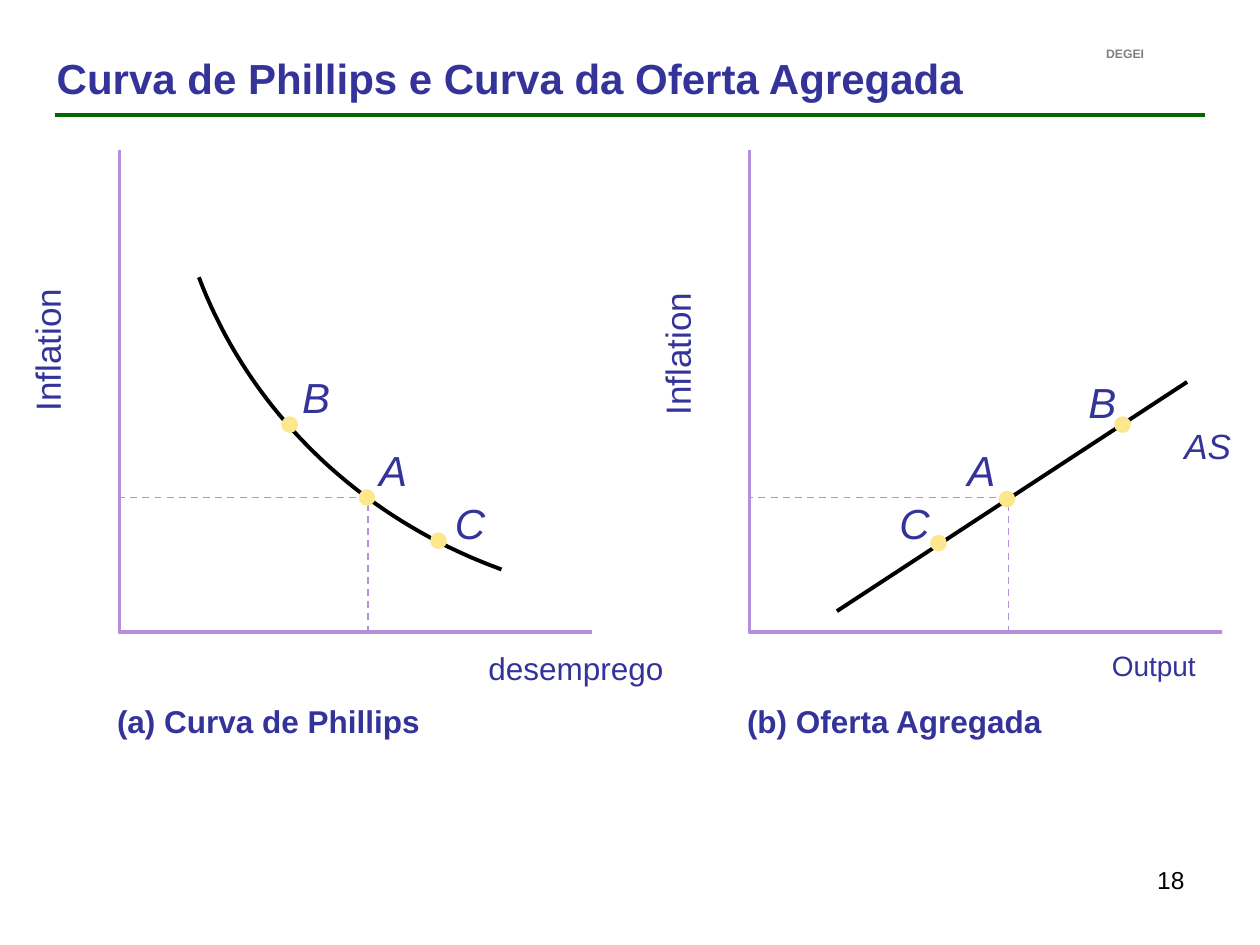
import pptx
import pptx.dml.color
import pptx.enum.dml
import pptx.enum.shapes
import pptx.enum.text
import pptx.oxml
import pptx.util

Cm = pptx.util.Cm
Pt = pptx.util.Pt
RGBColor = pptx.dml.color.RGBColor
PP_ALIGN = pptx.enum.text.PP_ALIGN
MSO_ANCHOR = pptx.enum.text.MSO_ANCHOR

NAVY = RGBColor(0x33, 0x33, 0x99)
GREEN = RGBColor(0x00, 0x66, 0x00)
LILAC = RGBColor(0xB5, 0x90, 0xDA)
YELLOW = RGBColor(0xFC, 0xE7, 0x8C)
GREY = RGBColor(0x80, 0x80, 0x80)
BLACK = RGBColor(0, 0, 0)

PANEL_STEP = 12.7
AXIS_LEFT, AXIS_TOP, AXIS_RIGHT, AXIS_BOTTOM = 2.41, 3.02, 11.94, 12.75
DOT = 0.3

presentation = pptx.Presentation()
presentation.slide_width = Cm(25.4)
presentation.slide_height = Cm(19.05)
slide = presentation.slides.add_slide(presentation.slide_layouts[5])
shapes = slide.shapes


def write_text(text, left, top, width, height, size=24, color=NAVY, bold=False,
               italic=False, align=PP_ALIGN.LEFT, anchor=MSO_ANCHOR.TOP,
               rotation=0, holder=None):
    """Put text in holder, or in a new text box; lengths are in centimetres."""
    if holder is None:
        holder = shapes.add_textbox(0, 0, 0, 0)
    holder.left, holder.top = Cm(left), Cm(top)
    holder.width, holder.height = Cm(width), Cm(height)
    holder.rotation = rotation
    frame = holder.text_frame
    frame.text = text
    frame.word_wrap = True
    frame.auto_size = pptx.enum.text.MSO_AUTO_SIZE.NONE
    frame.vertical_anchor = anchor
    paragraph = frame.paragraphs[0]
    paragraph.alignment = align
    font = paragraph.font
    font.name, font.size = "Arial", Pt(size)
    font.bold, font.italic = bold, italic
    font.color.rgb = color


def draw_line(x1, y1, x2, y2, color, weight=2.25, dashed=False):
    line = shapes.add_connector(pptx.enum.shapes.MSO_CONNECTOR.STRAIGHT,
                                Cm(x1), Cm(y1), Cm(x2), Cm(y2))
    line.line.color.rgb = color
    line.line.width = Pt(weight)
    if dashed:
        line.line.dash_style = pptx.enum.dml.MSO_LINE.DASH
    line._element.spPr.append(pptx.oxml.parse_xml(
        '<a:effectLst xmlns:a="http://schemas.openxmlformats.org/drawingml/2006/main"/>'))


# Heading and page furniture
write_text("Curva de Phillips e Curva da Oferta Agregada", 0.89, 0.71, 26.01, 1.7,
           bold=True, anchor=MSO_ANCHOR.MIDDLE, holder=shapes.title)
write_text("DEGEI", 22.05, 0.81, 2.13, 0.56, size=7, color=GREY, bold=True)
draw_line(1.1, 2.31, 24.3, 2.31, GREEN)
write_text("18", 18.21, 17.32, 5.92, 1.35, size=14, color=BLACK, align=PP_ALIGN.RIGHT)

# Axes of both panels and the Phillips curve (a cubic Bezier)
outlines = [([(AXIS_LEFT + shift, AXIS_TOP), (AXIS_LEFT + shift, AXIS_BOTTOM),
              (AXIS_RIGHT + shift, AXIS_BOTTOM)], LILAC) for shift in (0, PANEL_STEP)]
controls = [(4.01, 5.59), (5.03, 8.28), (7.24, 10.44), (10.11, 11.48)]
STEPS = 40
phillips = []
for step in range(STEPS + 1):
    t = step / STEPS
    weights = ((1 - t) ** 3, 3 * t * (1 - t) ** 2, 3 * t ** 2 * (1 - t), t ** 3)
    phillips.append([sum(w * point[axis] for w, point in zip(weights, controls))
                     for axis in (0, 1)])
outlines.append((phillips, BLACK))

for points, color in outlines:
    corners = [(Cm(x), Cm(y)) for x, y in points]
    builder = shapes.build_freeform(*corners[0])
    builder.add_line_segments(corners[1:], close=False)
    outline = builder.convert_to_shape()
    outline.fill.background()
    outline.line.color.rgb = color
    outline.line.width = Pt(2.25)
    outline.shadow.inherit = False

# Aggregate supply line
draw_line(16.87, 12.32, 23.93, 7.7, BLACK)

# Dashed guides from point A to the axes
for guide_x, axis_x in ((7.42, 2.34), (20.33, 15.09)):
    draw_line(guide_x, AXIS_BOTTOM, guide_x, 10.06, LILAC, 1, dashed=True)
    draw_line(guide_x, 10.03, axis_x, 10.03, LILAC, 1, dashed=True)

# Points: letter, dot centre, label corner
for letter, dot_x, dot_y, label_x, label_y in (
        ("A", 7.4, 10.03, 7.19, 8.84),
        ("B", 5.84, 8.56, 5.64, 7.37),
        ("C", 8.84, 10.9, 8.74, 9.91),
        ("A", 20.3, 10.06, 19.05, 8.84),
        ("B", 22.63, 8.56, 21.49, 7.47),
        ("C", 18.92, 10.95, 17.7, 9.91)):
    dot = shapes.add_shape(pptx.enum.shapes.MSO_SHAPE.OVAL, Cm(dot_x - DOT / 2),
                           Cm(dot_y - DOT / 2), Cm(DOT), Cm(DOT))
    dot.fill.solid()
    dot.fill.fore_color.rgb = YELLOW
    dot.line.color.rgb = YELLOW
    dot.line.width = Pt(1)
    dot.shadow.inherit = False
    write_text(letter, label_x, label_y, 1.47, 0.97, italic=True, align=PP_ALIGN.CENTER)

# Axis names and panel captions
for top, shift in ((6.32, 0), (6.4, PANEL_STEP)):
    write_text("Inflation", -1.73 + shift, top, 5.72, 1.47, size=20,
               align=PP_ALIGN.CENTER, rotation=270)
write_text("desemprego", 8.89, 12.95, 5.44, 0.76, size=18, align=PP_ALIGN.CENTER)
write_text("Output", 21.67, 12.95, 3.18, 0.71, size=16, align=PP_ALIGN.CENTER)
write_text("AS", 23.29, 8.43, 2.11, 0.84, size=20, italic=True, align=PP_ALIGN.CENTER)
for caption, shift in (("(a) Curva de Phillips", 0), ("(b) Oferta Agregada", PANEL_STEP)):
    write_text(caption, 2.11 + shift, 14.02, 10.36, 0.76, size=18, bold=True)

presentation.save("out.pptx")
